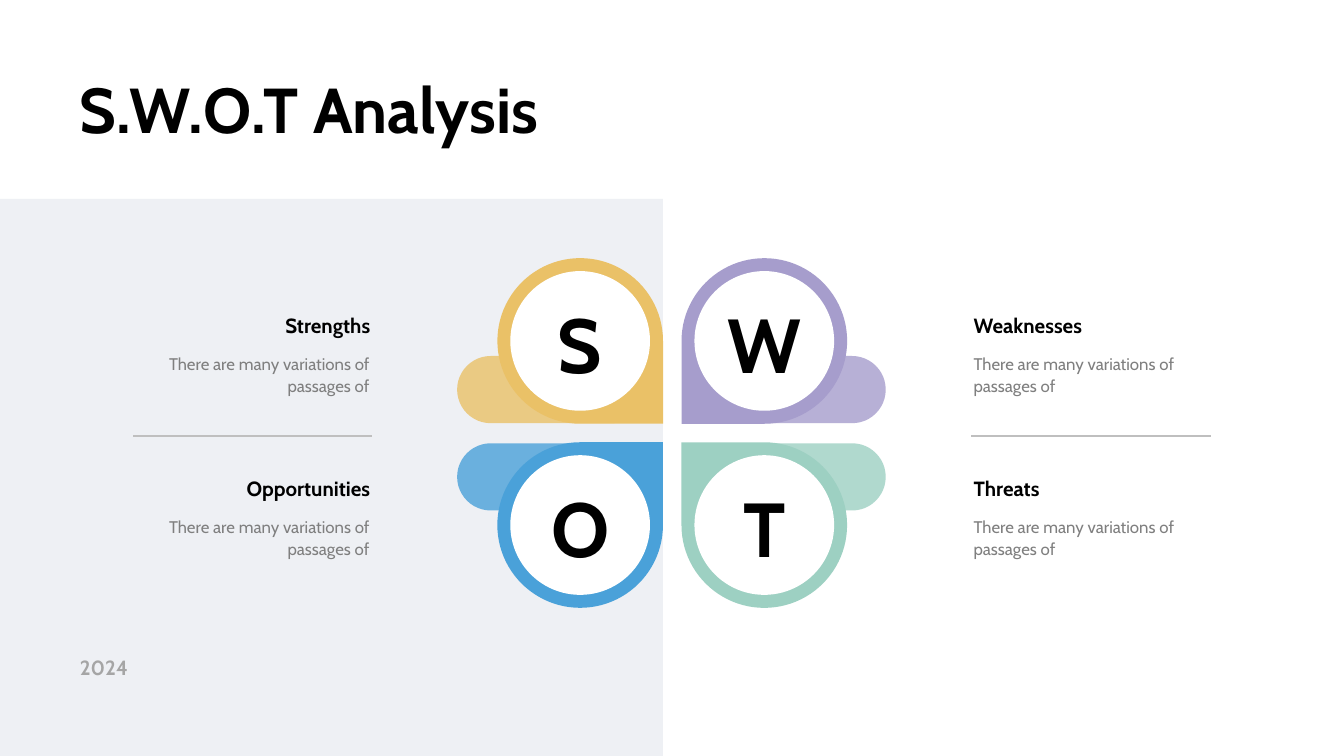
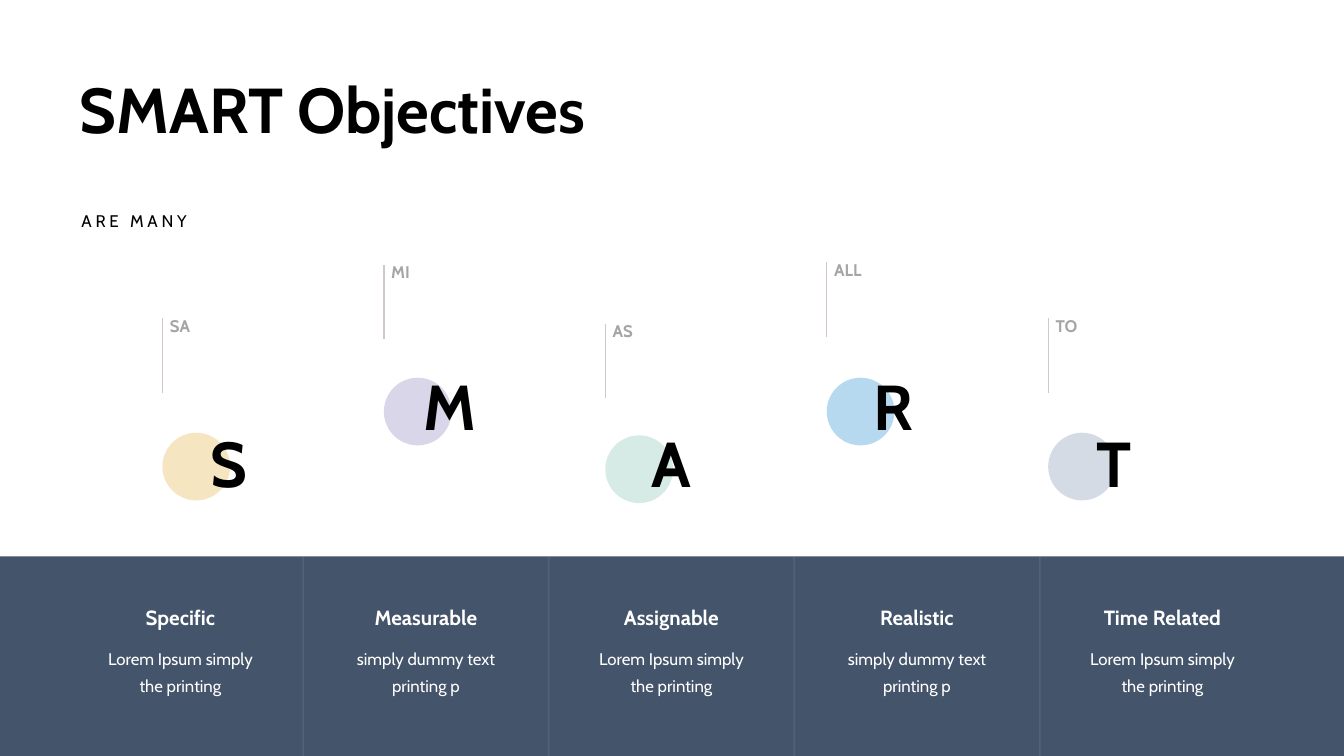
"""Build two strategy slides: a S.W.O.T analysis and SMART objectives."""
from dataclasses import dataclass

from pptx import Presentation
from pptx.dml.color import RGBColor
from pptx.enum.shapes import MSO_CONNECTOR, MSO_SHAPE
from pptx.enum.text import MSO_ANCHOR, MSO_AUTO_SIZE, PP_ALIGN
from pptx.oxml import parse_xml
from pptx.oxml.ns import nsdecls, qn
from pptx.util import Cm, Pt

RECTANGLE = MSO_SHAPE.RECTANGLE
PILL = MSO_SHAPE.ROUNDED_RECTANGLE
TEARDROP = MSO_SHAPE.TEAR
ELLIPSE = MSO_SHAPE.OVAL
STRAIGHT = MSO_CONNECTOR.STRAIGHT
LEFT, CENTER, RIGHT = PP_ALIGN.LEFT, PP_ALIGN.CENTER, PP_ALIGN.RIGHT
TOP = MSO_ANCHOR.TOP
FIXED, GROW = MSO_AUTO_SIZE.NONE, MSO_AUTO_SIZE.SHAPE_TO_FIT_TEXT
TITLE_ONLY = 5
WIDTH, HEIGHT = 25.4, 14.29


@dataclass(frozen=True)
class Theme:
    font: str = "Cabin"
    ink: str = "000000"
    paper: str = "FFFFFF"
    muted: str = "7F7F7F"
    label: str = "A5A5A5"
    rule: str = "BFBFBF"
    stem: str = "D2C8C6"
    mist: str = "D5DBE5"
    navy: str = "44546A"
    gold: str = "EAC167"
    violet: str = "A69DCC"
    blue: str = "4AA1D9"
    green: str = "9DD0C2"
    pale_gold: str = "F6E5C1"
    pale_violet: str = "DAD6EA"
    pale_green: str = "D7EBE6"
    pale_blue: str = "B6D9EF"
    initial_size: int = 41
    title_size: int = 34
    heading_size: int = 11
    note_size: int = 9


THEME = Theme()


def write(frame, text, *, size, color=THEME.ink, bold=False, align=LEFT,
          spacing=1.0, tracking=None, fit=FIXED):
    frame.word_wrap = True
    frame.auto_size = fit
    frame.vertical_anchor = TOP
    frame.margin_left = frame.margin_right = Cm(0.19)
    frame.margin_top = frame.margin_bottom = Cm(0.1)
    paragraph = frame.paragraphs[0]
    paragraph.alignment = align
    paragraph.line_spacing = spacing
    run = paragraph.add_run()
    run.text = text
    run.font.name = THEME.font
    run.font.size = Pt(size)
    run.font.bold = bold
    run.font.color.rgb = RGBColor.from_string(color)
    if tracking:
        run.font._element.set("spc", str(tracking * 100))


def set_opacity(drawn, percent):
    color = drawn.element.spPr.find(".//" + qn("a:srgbClr"))
    color.append(parse_xml(f'<a:alpha {nsdecls("a")} val="{percent * 1000}"/>'))


class Deck:
    def __init__(self, theme):
        self.theme = theme
        self.presentation = Presentation()
        self.presentation.slide_width = Cm(WIDTH)
        self.presentation.slide_height = Cm(HEIGHT)
        self.slide = None

    def start(self, title):
        layout = self.presentation.slide_layouts[TITLE_ONLY]
        self.slide = self.presentation.slides.add_slide(layout)
        heading = self.slide.shapes.title
        heading.left, heading.top = Cm(1.32), Cm(1.22)
        heading.width, heading.height = Cm(18.11), Cm(1.65)
        write(heading.text_frame, title, size=self.theme.title_size, bold=True)

    def shape(self, preset, left, top, width, height, color,
              opacity=None, rotation=0, adjust=None):
        drawn = self.slide.shapes.add_shape(
            preset, Cm(left), Cm(top), Cm(width), Cm(height))
        drawn.shadow.inherit = False
        drawn.fill.solid()
        drawn.fill.fore_color.rgb = RGBColor.from_string(color)
        drawn.line.fill.background()
        drawn.rotation = rotation
        if adjust is not None:
            drawn.adjustments[0] = adjust
        if opacity is not None:
            set_opacity(drawn, opacity)

    def line(self, x1, y1, x2, y2, color, weight=1, opacity=None):
        drawn = self.slide.shapes.add_connector(
            STRAIGHT, Cm(x1), Cm(y1), Cm(x2), Cm(y2))
        drawn.line.color.rgb = RGBColor.from_string(color)
        drawn.line.width = Pt(weight)
        drawn.element.spPr.append(parse_xml(f'<a:effectLst {nsdecls("a")}/>'))
        if opacity is not None:
            set_opacity(drawn, opacity)

    def text(self, text, left, top, width, height, **style):
        box = self.slide.shapes.add_textbox(
            Cm(left), Cm(top), Cm(width), Cm(height))
        write(box.text_frame, text, **style)

    def heading(self, text, left, top, width, **style):
        self.text(text, left, top, width, 0.64, size=self.theme.heading_size,
                  bold=True, fit=GROW, **style)

    def note(self, text, left, top, width, height, **style):
        self.text(text, left, top, width, height, size=self.theme.note_size,
                  fit=GROW, **style)


def build_swot(deck):
    theme = deck.theme
    petal, disc, letter_width, pitch = 3.13, 2.64, 2.69, 3.48
    quadrants = [
        ("Strengths", 0, 0, theme.gold, 90),
        ("Weaknesses", 1, 0, theme.violet, 180),
        ("Opportunities", 0, 1, theme.blue, 0),
        ("Threats", 1, 1, theme.green, 270),
    ]
    deck.start("S.W.O.T Analysis")
    deck.shape(RECTANGLE, 0, 3.76, 12.53, HEIGHT - 3.76, theme.mist, opacity=40)
    for name, column, row, color, rotation in quadrants:
        left, top = 9.4 + column * pitch, 4.88 + row * pitch
        inset = (petal - disc) / 2
        deck.shape(PILL, (8.64, 13.18)[column], (6.73, 8.38)[row], 3.56, 1.27,
                   color, opacity=80, adjust=0.5)
        deck.shape(TEARDROP, left, top, petal, petal, color,
                   rotation=rotation, adjust=1)
        deck.shape(ELLIPSE, left + inset, top + inset, disc, disc, theme.paper)
        deck.text(name[0], left + (petal - letter_width) / 2, top + 0.63,
                  letter_width, disc, size=theme.initial_size, bold=True,
                  align=CENTER)
        align = (RIGHT, LEFT)[column]
        heading_top = 5.82 + row * 3.07
        deck.heading(name, (4.04, 18.21)[column], heading_top, 3.15, align=align)
        deck.note("There are many variations of passages of",
                  (2.52, 18.21)[column], heading_top + 0.73, 4.65, 0.99,
                  color=theme.muted, align=align, spacing=1.1)
    for rule_left in (2.52, 18.36):
        deck.line(rule_left, 8.24, rule_left + 4.52, 8.24, theme.rule)
    deck.heading("2024", 1.32, 12.29, 6.02, color=theme.label)


def build_smart(deck):
    theme = deck.theme
    band_top, column_pitch, pin_pitch = 10.52, 4.64, 4.185
    simple, dummy = "Lorem Ipsum simply the printing", "simply dummy text printing p"
    goals = [
        ("Specific", simple, "SA", theme.pale_gold, 6.02, 8.18, 7.92),
        ("Measurable", dummy, "MI", theme.pale_violet, 5.0, 7.14, 6.83),
        ("Assignable", simple, "AS", theme.pale_green, 6.12, 8.23, 7.92),
        ("Realistic", dummy, "ALL", theme.pale_blue, 4.96, 7.14, 6.83),
        ("Time Related", simple, "TO", theme.mist, 6.02, 8.18, 7.92),
    ]
    deck.start("SMART Objectives")
    deck.note("ARE MANY", 1.35, 3.89, 3.68, 0.58, tracking=2)
    deck.shape(RECTANGLE, 0, band_top, WIDTH, HEIGHT - band_top, theme.navy)
    for index, goal in enumerate(goals):
        name, detail, tag, color, stem_top, dot_top, letter_top = goal
        pin = 3.07 + index * pin_pitch
        middle = 3.41 + index * column_pitch
        deck.line(pin, stem_top + 1.41, pin, stem_top, theme.stem, weight=0.75)
        deck.note(tag, pin - 0.05, stem_top - 0.16, 2.46, 0.58,
                  color=theme.label, bold=True)
        deck.shape(ELLIPSE, pin, dot_top, 1.28, 1.28, color)
        deck.text(name[0], pin + 0.08, letter_top, 2.34, 1.65,
                  size=theme.title_size, bold=True, align=CENTER)
        deck.heading(name, middle - 2, 11.33, 4, color=theme.paper, align=CENTER)
        deck.note(detail, middle - 1.65, 12.04, 3.3, 1.04, color=theme.paper,
                  align=CENTER, spacing=1.33)
        if index < len(goals) - 1:
            divider = middle + column_pitch / 2
            deck.line(divider, HEIGHT, divider, band_top, theme.paper, opacity=8)


def main():
    deck = Deck(THEME)
    build_swot(deck)
    build_smart(deck)
    deck.presentation.save("out.pptx")


if __name__ == "__main__":
    main()
